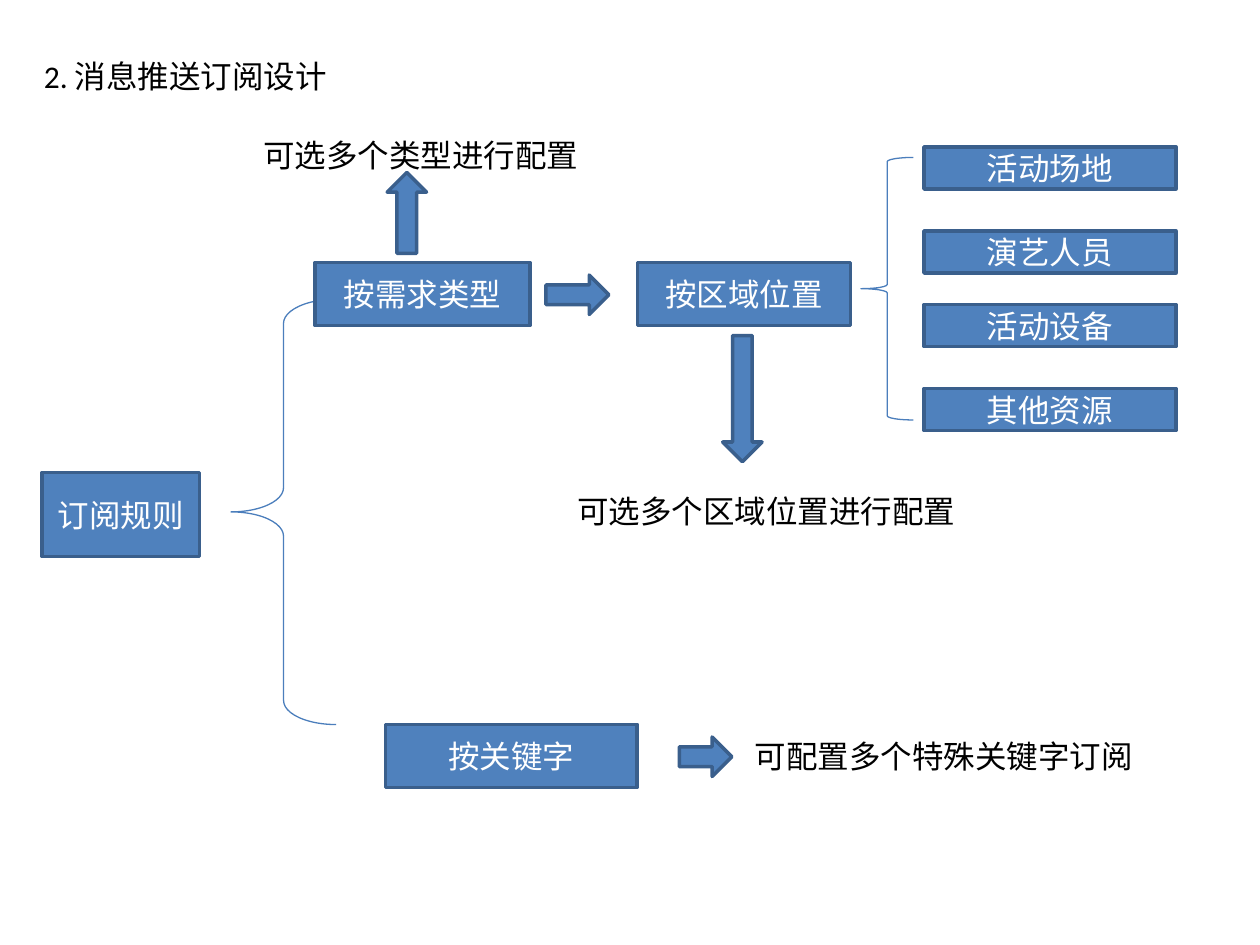
from dataclasses import dataclass

from pptx import Presentation
from pptx.dml.color import RGBColor
from pptx.enum import shapes, text
from pptx.util import Inches, Pt

SHAPE = shapes.MSO_SHAPE
COLS, ROWS = 120, 90
WIDTH, HEIGHT = Inches(10), Inches(7.5)


@dataclass(frozen=True)
class Theme:
    """Colours, font and sizes of the slide."""

    fill: str = "4F81BD"
    edge: str = "3A5F8C"
    brace: str = "4B7EBC"
    light: str = "FFFFFF"
    dark: str = "000000"
    font: str = "Calibri"
    size: float = 18
    edge_width: float = 2
    brace_width: float = 0.75


THEME = Theme()


def grid(box, x, y, w, h):
    """Turn columns and rows counted from a box into slide lengths."""
    col, row = WIDTH / COLS, HEIGHT / ROWS
    return [round(n) for n in ((box[0] + x) * col, (box[1] + y) * row, w * col, h * row)]


def write(sp, words, color, align, **frame):
    """Put one line of styled text in a shape."""
    tf = sp.text_frame
    for name, value in frame.items():
        setattr(tf, name, value)
    p = tf.paragraphs[0]
    p.alignment = align
    r = p.add_run()
    r.text = words
    style = {"name": THEME.font, "size": Pt(THEME.size)}
    for name, value in style.items():
        setattr(r.font, name, value)
    r.font.color.rgb = RGBColor.from_string(color)


def outline(sp, color, width):
    """Set a plain line without a shadow."""
    sp.shadow.inherit = False
    sp.line.color.rgb = RGBColor.from_string(color)
    sp.line.width = Pt(width)


def solid(slide, kind, box, *cell):
    """Add a filled and outlined preset shape."""
    sp = slide.shapes.add_shape(kind, *grid(box, *cell))
    sp.fill.solid()
    sp.fill.fore_color.rgb = RGBColor.from_string(THEME.fill)
    outline(sp, THEME.edge, THEME.edge_width)
    return sp


def node(slide, words, box, *cell):
    """Add a labelled rectangle."""
    sp = solid(slide, SHAPE.RECTANGLE, box, *cell)
    write(sp, words, THEME.light, text.PP_ALIGN.CENTER,
          word_wrap=True, vertical_anchor=text.MSO_ANCHOR.MIDDLE)


def arrow(slide, box, x, y, length, turn=0):
    """Add a block arrow, turned about its centre."""
    sp = solid(slide, SHAPE.RIGHT_ARROW, box, x, y, length, 3.75)
    sp.rotation = turn


def brace(slide, box, *cell, curve=0.08):
    """Add an opening brace."""
    sp = slide.shapes.add_shape(SHAPE.LEFT_BRACE, *grid(box, *cell))
    sp.adjustments[0] = curve
    sp.fill.background()
    outline(sp, THEME.brace, THEME.brace_width)


def note(slide, words, box, x, y, w, wrap=False):
    """Add a dark line of text."""
    sp = slide.shapes.add_textbox(*grid(box, x, y, w, 4.8))
    write(sp, words, THEME.dark, text.PP_ALIGN.LEFT, word_wrap=wrap)


def heading(slide, box):
    """Place the slide heading."""
    note(slide, "2. 消息推送订阅设计", box, 0, 0, box[2], wrap=True)


def rule_root(slide, box):
    """Place the root of the rules and its brace."""
    node(slide, "订阅规则", box, 0, 16.5, 15, 8)
    brace(slide, box, 18, 0, 10, box[3], curve=0.23)


def type_branch(slide, box):
    """Place the type and area steps with their notes."""
    node(slide, "按需求类型", box, 6.1, 12.6, 20.5, 6)
    node(slide, "按区域位置", box, 36.8, 12.6, 20.3, 6)
    note(slide, "可选多个类型进行配置", box, 0, 0, 32.8)
    note(slide, "可选多个区域位置进行配置", box, 29.9, 33.9, 38.8)
    arrow(slide, box, 11, 6, 7.7, turn=270)
    arrow(slide, box, 28.1, 13.8, 6)
    arrow(slide, box, 40.8, 23.7, 12, turn=90)


def resource_list(slide, box):
    """Place the resources in two even pairs beside a brace."""
    names = ["活动场地", "演艺人员", "活动设备", "其他资源"]
    for i, name in enumerate(names):
        pair, second = divmod(i, 2)
        node(slide, name, box, 6, 15 * pair + 8 * second, 24, 4)
    brace(slide, box, 0, 1, 5, 25)


def keyword_branch(slide, box):
    """Place the keyword step and its note."""
    node(slide, "按关键字", box, 0, 0, 24, box[3])
    arrow(slide, box, 28, 1.2, 5)
    note(slide, "可配置多个特殊关键字订阅", box, 34, 0.6, 38.8)


def main():
    """Build and save the slide."""
    prs = Presentation()
    for name, value in {"slide_width": WIDTH, "slide_height": HEIGHT}.items():
        setattr(prs, name, value)
    slide = prs.slides.add_slide(prs.slide_layouts[6])
    regions = [
        (rule_root, (4, 28.5, 28, 40.5)),
        (type_branch, (23.9, 12.4, 68.7, 38.7)),
        (resource_list, (82, 14, 30, 27)),
        (keyword_branch, (36.7, 69, 72.8, 6)),
        (heading, (3, 4.8, 29.6, 4.8)),
    ]
    for place, box in regions:
        place(slide, box)
    prs.save("out.pptx")


if __name__ == "__main__":
    main()
